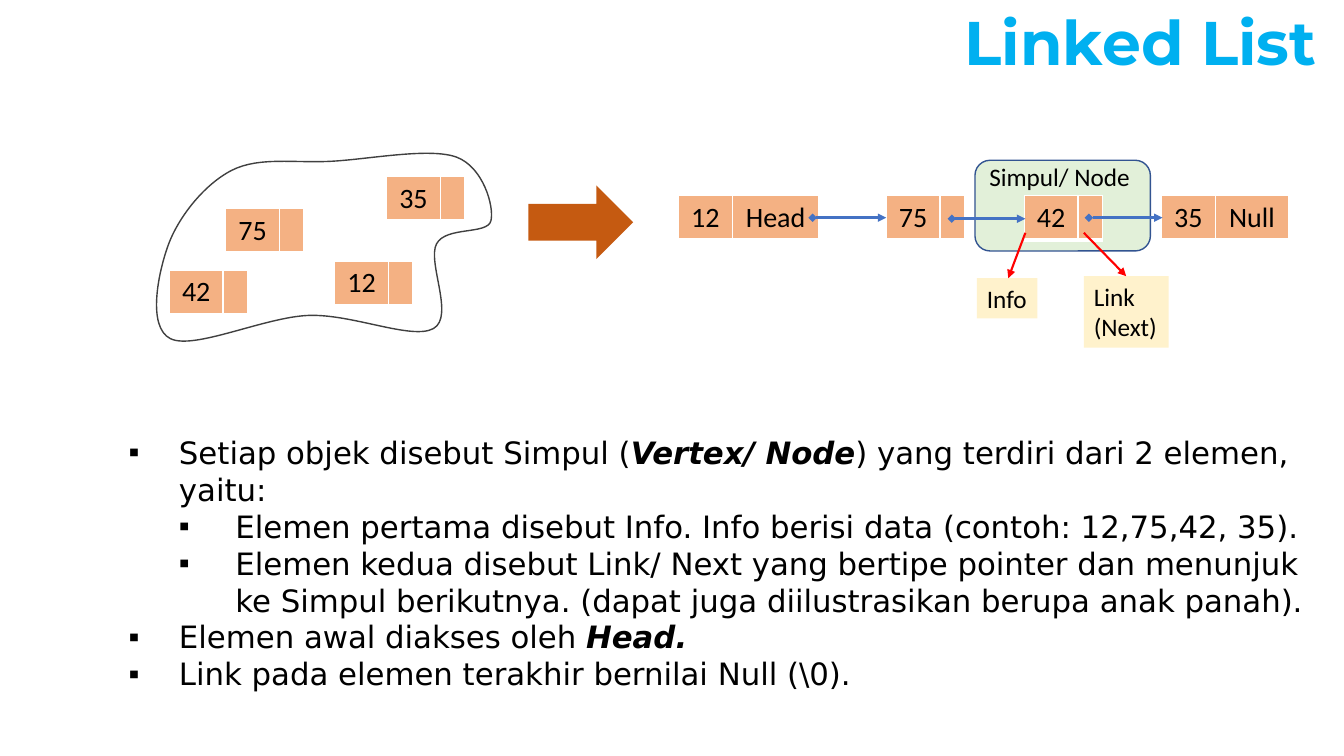
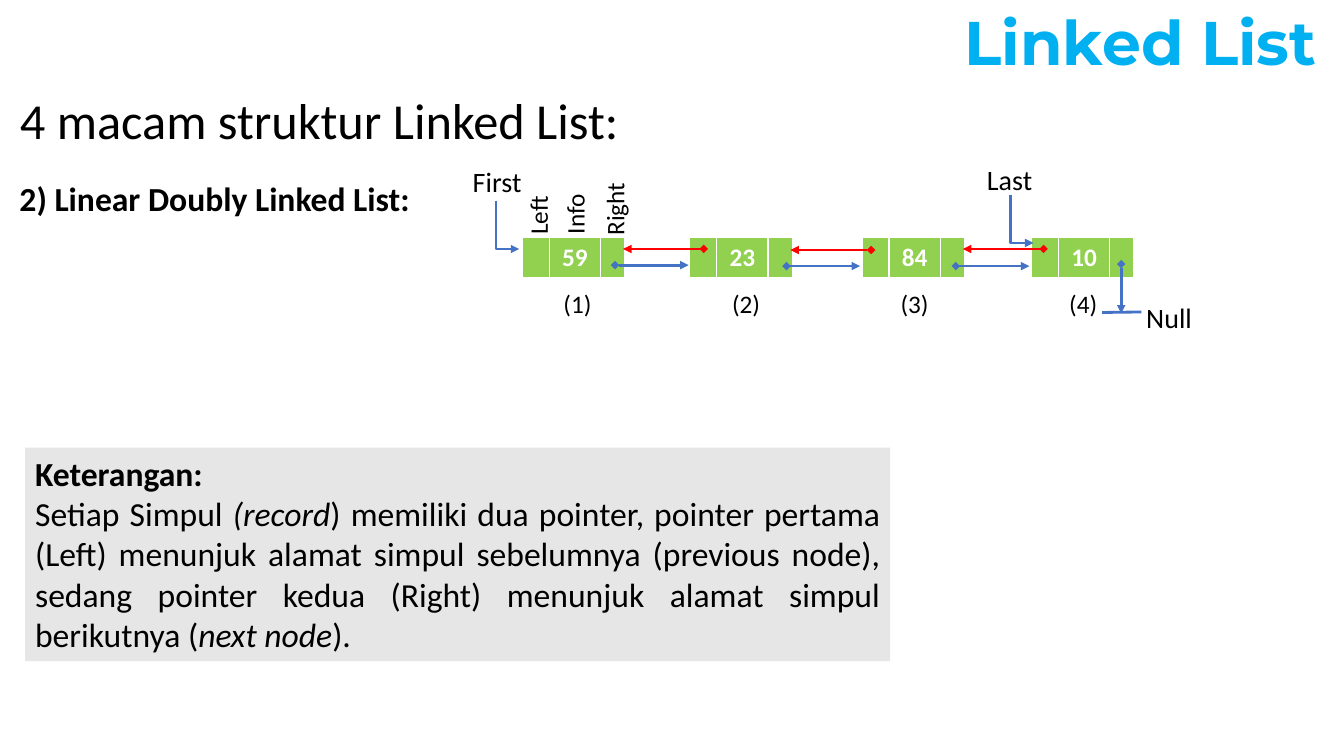
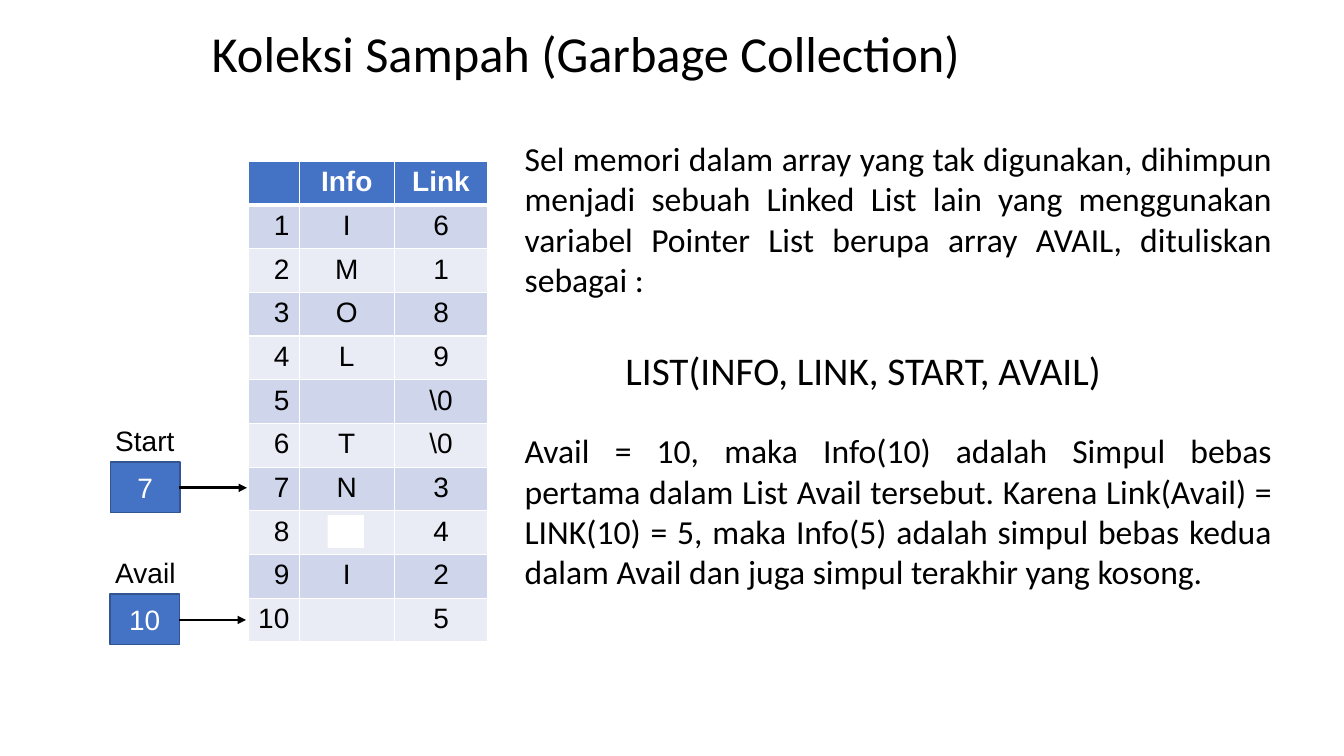
from lxml import etree
from pptx import Presentation
from pptx.dml.color import RGBColor
from pptx.enum.shapes import MSO_CONNECTOR, MSO_SHAPE
from pptx.enum.text import MSO_ANCHOR, MSO_AUTO_SIZE, PP_ALIGN
from pptx.oxml.ns import qn
from pptx.util import Inches, Pt

LEFT, CENTER, RIGHT, JUSTIFY = PP_ALIGN.LEFT, PP_ALIGN.CENTER, PP_ALIGN.RIGHT, PP_ALIGN.JUSTIFY
TOP, MIDDLE = MSO_ANCHOR.TOP, MSO_ANCHOR.MIDDLE
NO_AUTOFIT = MSO_AUTO_SIZE.NONE
RECTANGLE, ROUNDED = MSO_SHAPE.RECTANGLE, MSO_SHAPE.ROUNDED_RECTANGLE
RIGHT_ARROW = MSO_SHAPE.RIGHT_ARROW
STRAIGHT, ELBOW = MSO_CONNECTOR.STRAIGHT, MSO_CONNECTOR.ELBOW

BLACK = RGBColor(0x00, 0x00, 0x00)
WHITE = RGBColor(0xFF, 0xFF, 0xFF)
SKY = RGBColor(0x00, 0xB0, 0xF0)
BLUE = RGBColor(0x44, 0x72, 0xC4)
NAVY = RGBColor(0x32, 0x54, 0x91)
RED = RGBColor(0xFF, 0x00, 0x00)
RUST = RGBColor(0xC5, 0x5A, 0x11)
PEACH = RGBColor(0xF4, 0xB1, 0x83)
CREAM = RGBColor(0xFF, 0xF2, 0xCC)
MINT = RGBColor(0xE2, 0xF0, 0xD9)
GREEN = RGBColor(0x92, 0xD0, 0x50)
GRAY = RGBColor(0xE7, 0xE6, 0xE6)
CHARCOAL = RGBColor(0x40, 0x40, 0x40)
BAND_DARK = RGBColor(0xCF, 0xD5, 0xEA)
BAND_LIGHT = RGBColor(0xE9, 0xEB, 0xF5)

deck = Presentation()
deck.slide_width = Inches(13.33)
deck.slide_height = Inches(7.5)
GRID = deck.slide_height // 75


def write(frame, text, size, font="Calibri", color=BLACK, align=LEFT, bold=False, accent_bold=False):
    frame.text = text
    for para in frame.paragraphs:
        pieces = para.text.split("*")
        para.text = pieces[0]
        for piece in pieces[1:]:
            para.add_run().text = piece
        para.alignment = align
        for index, span in enumerate(para.runs):
            accent = index % 2 == 1
            span.font.name = font
            span.font.size = Pt(size)
            span.font.color.rgb = color
            span.font.bold = bold or (accent and accent_bold)
            span.font.italic = accent


def place(page, text, area, size, fill=None, rotation=0, wrap=False, **style):
    box = page.shapes.add_textbox(*[round(cells * GRID) for cells in area])
    box.rotation = rotation
    if fill:
        box.fill.solid()
        box.fill.fore_color.rgb = fill
    box.text_frame.word_wrap = wrap
    write(box.text_frame, text, size, **style)
    return box


content_layout, title_layout = deck.slide_layouts[1], deck.slide_layouts[5]
node_page = deck.slides.add_slide(content_layout)
doubly_page = deck.slides.add_slide(title_layout)
garbage_page = deck.slides.add_slide(title_layout)

main_title = (0, -0.3, 131.6, 9.6)
main_style = dict(size=44, font="Montserrat", color=SKY, align=RIGHT, bold=True)
for page, text, area, anchor, style in [
    (node_page, "Linked List", main_title, MIDDLE, main_style),
    (doubly_page, "Linked List", main_title, MIDDLE, main_style),
    (garbage_page, "Koleksi Sampah (Garbage Collection)", (20, 1.7, 86, 7.1), TOP, dict(size=36)),
]:
    title = page.shapes.title
    title.left, title.top, title.width, title.height = [round(cells * GRID) for cells in area]
    title.text_frame.auto_size = NO_AUTOFIT
    title.text_frame.vertical_anchor = anchor
    write(title.text_frame, text, **style)
    title.text_frame.paragraphs[0].line_spacing = 0.9 if anchor == MIDDLE else 1

body = node_page.placeholders[1]
body.left, body.top, body.width, body.height = [round(cells * GRID) for cells in (11.75, 42.5, 121.5, 26.9)]
body.text_frame.auto_size = NO_AUTOFIT
write(
    body.text_frame,
    "Setiap objek disebut Simpul (*Vertex/ Node*) yang terdiri dari 2 elemen, yaitu:\n"
    "Elemen pertama disebut Info. Info berisi data (contoh: 12,75,42, 35).\n"
    "Elemen kedua disebut Link/ Next yang bertipe pointer dan menunjuk ke Simpul berikutnya. "
    "(dapat juga diilustrasikan berupa anak panah).\n"
    "Elemen awal diakses oleh *Head.\n"
    "Link pada elemen terakhir bernilai Null (\\0).",
    22, font="DejaVu Sans", accent_bold=True,
)
for para, level in zip(body.text_frame.paragraphs, [0, 1, 1, 0, 0]):
    margin, hanging = [(0.5, 0.5), (1.06, 0.56)][level]
    para.level = level
    properties = para._p.get_or_add_pPr()
    properties.set("marL", str(Inches(margin)))
    properties.set("indent", str(-Inches(hanging)))
    etree.SubElement(properties, qn("a:buChar")).set("char", "▪")
    para.space_before = Pt(0)
    para.line_spacing = 1

memory_rows = [
    ("", "Info", "Link"), ("1", "I", "6"), ("2", "M", "1"), ("3", "O", "8"),
    ("4", "L", "9"), ("5", "", "\\0"), ("6", "T", "\\0"), ("7", "N", "3"),
    ("8", "", "4"), ("9", "I", "2"), ("10", "", "5"),
]
header_cells = []
area = [round(cells * GRID) for cells in (24.6, 16, 23.8, 47.7)]
memory = garbage_page.shapes.add_table(len(memory_rows), 3, *area).table
for column, width in zip(memory.columns, (5.1, 9.4, 9.3)):
    column.width = round(width * GRID)
for row, values in enumerate(memory_rows):
    header = row == 0
    for column, value in enumerate(values):
        cell = memory.cell(row, column)
        cell.fill.solid()
        cell.fill.fore_color.rgb = BLUE if header else (BAND_LIGHT, BAND_DARK)[row % 2]
        write(cell.text_frame, value, 20, font="Arial", color=WHITE if header else BLACK,
              align=CENTER if column else RIGHT, bold=header)
        if header:
            header_cells.append(cell)

pointer_style = dict(size=20, font="Arial", color=WHITE, align=CENTER)
for page, kind, area, fill, outline, text, bottom_margin, style in [
    (node_page, ROUNDED, (96.7, 15.9, 17.4, 9), MINT, NAVY, "Simpul/ Node", 0.57, dict(size=18)),
    (node_page, RIGHT_ARROW, (52.4, 18.4, 10.4, 7.3), RUST, None, "", 0, {}),
    (garbage_page, RECTANGLE, (10.95, 45.85, 6.9, 5), BLUE, NAVY, "7", 0, pointer_style),
    (garbage_page, RECTANGLE, (10.9, 58.95, 6.9, 5), BLUE, NAVY, "10", 0, pointer_style),
    (garbage_page, RECTANGLE, (32.5, 51.1, 3.6, 3.3), WHITE, None, "", 0, {}),
]:
    shape = page.shapes.add_shape(kind, *[round(cells * GRID) for cells in area])
    shape.shadow.inherit = False
    shape.fill.solid()
    shape.fill.fore_color.rgb = fill
    if outline:
        shape.line.color.rgb = outline
        shape.line.width = Pt(1)
    else:
        shape.line.fill.background()
    if text:
        shape.text_frame.vertical_anchor = MIDDLE
        shape.text_frame.margin_top = 0
        shape.text_frame.margin_bottom = Inches(bottom_margin)
        write(shape.text_frame, text, **style)

anchors = [(33, 16), (23, 16.9), (16.7, 24.3), (16.9, 33.6), (30.6, 31.3),
           (43, 32.6), (43.3, 24.2), (48.7, 21.9), (45.3, 15.6)]
cloud_area = [round(cells * GRID) for cells in (15.5, 15.3, 33.3, 18.6)]
builder = node_page.shapes.build_freeform(*[round(cells * GRID) for cells in anchors[0]])
builder.add_line_segments([(round(x * GRID), round(y * GRID)) for x, y in anchors[1:]], close=True)
cloud = builder.convert_to_shape()
cloud.left, cloud.top, cloud.width, cloud.height = cloud_area
cloud.shadow.inherit = False
cloud.fill.background()
cloud.line.color.rgb = CHARCOAL
cloud.line.width = Pt(1)

curves = [("a:moveTo", anchors[:1])]
for index in range(len(anchors)):
    before, start, end, after = [anchors[(index + offset) % len(anchors)] for offset in (-1, 0, 1, 2)]
    leaving = [s + (e - b) / 6 for b, s, e in zip(before, start, end)]
    arriving = [e - (a - s) / 6 for s, e, a in zip(start, end, after)]
    curves.append(("a:cubicBezTo", [leaving, arriving, end]))
outline = cloud.element.find(".//" + qn("a:path"))
for segment in list(outline):
    outline.remove(segment)
outline.set("w", str(cloud.width))
outline.set("h", str(cloud.height))
for tag, points in curves + [("a:close", [])]:
    segment = etree.SubElement(outline, qn(tag))
    for x, y in points:
        point = etree.SubElement(segment, qn("a:pt"))
        point.set("x", str(round(x * GRID) - cloud.left))
        point.set("y", str(round(y * GRID) - cloud.top))

single_style = dict(size=20, align=CENTER)
doubly_style = dict(size=18, color=WHITE, align=CENTER, bold=True)
nodes = [
    (node_page, left, top, (5.33, link_width), (info, link), PEACH, single_style)
    for left, top, info, link, link_width in [
        (22.4, 20.7, "75", "", 2.3), (38.35, 17.5, "35", "", 2.3),
        (16.8, 26.8, "42", "", 2.3), (33.2, 25.9, "12", "", 2.3),
        (67.3, 19.4, "12", "Head", 8.6), (87.9, 19.4, "75", "", 2.3),
        (101.6, 19.4, "42", "", 2.3), (115.2, 19.4, "35", "Null", 7.3),
    ]
] + [
    (doubly_page, left, 23.6, (2.67, 5.1, 2.3), ("", info, ""), GREEN, doubly_style)
    for left, info in [(51.8, "59"), (68.4, "23"), (85.5, "84"), (102.3, "10")]
]
for page, left, top, widths, values, fill, style in nodes:
    area = [round(cells * GRID) for cells in (left, top, sum(widths), 4.1)]
    node = page.shapes.add_table(1, len(widths), *area).table
    for column, (width, value) in enumerate(zip(widths, values)):
        node.columns[column].width = round(width * GRID)
        cell = node.cell(0, column)
        cell.fill.solid()
        cell.fill.fore_color.rgb = fill
        write(cell.text_frame, value, **style)
        header_cells.append(cell)

for cell in header_cells:
    properties = cell._tc.get_or_add_tcPr()
    for position, (tag, width) in enumerate([("a:lnL", 1), ("a:lnR", 1), ("a:lnT", 1), ("a:lnB", 3)]):
        border = etree.Element(qn(tag))
        border.set("w", str(Pt(width)))
        etree.SubElement(etree.SubElement(border, qn("a:solidFill")), qn("a:srgbClr")).set("val", str(WHITE))
        properties.insert(position, border)

place(node_page, "Info", (96.9, 27.6, 6, 4), 18, fill=CREAM)
place(node_page, "Link\n(Next)", (107.5, 27.4, 8.4, 7.1), 18, fill=CREAM)

place(doubly_page, "4 macam struktur Linked List:", (1, 8.35, 85.4, 7.1), 36, wrap=True)
place(doubly_page, "2) Linear Doubly Linked List:", (0.95, 17.15, 53.9, 5), 24, wrap=True, bold=True)
for text, left, top in [("First", 45.9, 15.85), ("Last", 96.9, 15.65), ("Null", 112.7, 29.3)]:
    place(doubly_page, text, (left, top, 6.8, 4.4), 20)
for text, left, top, width in [("Left", 50.4, 19.3, 5.9), ("Info", 54, 19.2, 6), ("Right", 57.3, 18.7, 7.3)]:
    place(doubly_page, text, (left, top, width, 4), 18, rotation=270)
for index in range(4):
    place(doubly_page, f"({index + 1})", (54.9 + 16.72 * index, 28.15, 4.8, 4), 18)
note = place(
    doubly_page,
    "Keterangan:\n"
    "Setiap Simpul *(record*) memiliki dua pointer, pointer pertama (Left) menunjuk alamat simpul "
    "sebelumnya (previous node), sedang pointer kedua (Right) menunjuk alamat simpul berikutnya "
    "(*next node*).",
    (2.5, 44.4, 85.8, 21.2), 24, fill=GRAY, wrap=True, align=JUSTIFY,
)
note.text_frame.paragraphs[0].runs[0].font.bold = True

for text, top in [("Start", 41.5), ("Avail", 54.6)]:
    place(garbage_page, text, (10.45, top, 8, 4.4), 20, font="Arial")
collection = place(
    garbage_page,
    "Sel memori dalam array yang tak digunakan, dihimpun menjadi sebuah Linked List lain yang "
    "menggunakan variabel Pointer List berupa array AVAIL, dituliskan sebagai :\n"
    "LIST(INFO, LINK, START, AVAIL)",
    (51.05, 13.2, 76.1, 26.6), 24, wrap=True, align=JUSTIFY,
)
formula = collection.text_frame.paragraphs[1]
formula._p.get_or_add_pPr().set("marL", str(Inches(1)))
formula.space_before = Pt(33.5)
formula.runs[0].font.size = Pt(28)
place(
    garbage_page,
    "Avail = 10, maka Info(10) adalah Simpul bebas pertama dalam List Avail tersebut. "
    "Karena Link(Avail) = LINK(10) = 5, maka Info(5) adalah simpul bebas kedua dalam Avail "
    "dan juga simpul terakhir yang kosong.",
    (51.05, 42.2, 76.1, 21.2), 24, wrap=True, align=JUSTIFY,
)

links = [
    (page, STRAIGHT, x, y, x + reach, y, color, 2, "diamond", "triangle")
    for page, reach, color, starts in [
        (node_page, 7.3, BLUE, [(80.6, 21.6), (94.4, 21.7), (108, 21.6)]),
        (doubly_page, 7.3, BLUE, [(61, 26.3), (78, 26.4), (94.8, 26.4)]),
        (doubly_page, -8, RED, [(69.8, 24.7), (86.4, 24.8), (103.5, 24.7)]),
    ]
    for x, y in starts
] + [
    (node_page, STRAIGHT, 101.7, 23.1, 100, 27.6, RED, 1.5, None, "triangle"),
    (node_page, STRAIGHT, 107.5, 23.1, 111.7, 27.4, RED, 1.5, None, "triangle"),
    (doubly_page, ELBOW, 49.2, 19.9, 51.5, 24.7, BLUE, 2, None, "triangle"),
    (doubly_page, ELBOW, 100.2, 19.3, 102.5, 24.1, BLUE, 2, None, "triangle"),
    (doubly_page, STRAIGHT, 111.2, 26.2, 111.2, 31.1, BLUE, 2, "diamond", "triangle"),
    (doubly_page, STRAIGHT, 109.3, 31, 113.2, 30.95, BLUE, 2, None, None),
    (garbage_page, STRAIGHT, 17.8, 48.4, 24.5, 48.4, BLACK, 2, None, "triangle"),
    (garbage_page, STRAIGHT, 17.8, 61.5, 24.4, 61.5, BLACK, 2, None, "triangle"),
]
for page, kind, x1, y1, x2, y2, color, width, head, tail in links:
    ends = (x1, y1, x2, y2)
    if kind == ELBOW:
        middle_x, middle_y = (x1 + x2) / 2, (y1 + y2) / 2
        half_drop, half_run = (y2 - y1) / 2, (x2 - x1) / 2
        ends = (middle_x + half_drop, middle_y - half_run, middle_x - half_drop, middle_y + half_run)
    link = page.shapes.add_connector(kind, *[round(cells * GRID) for cells in ends])
    link.line.color.rgb = color
    link.line.width = Pt(width)
    properties = link.element.spPr
    if kind == ELBOW:
        properties.find(qn("a:xfrm")).set("rot", str(270 * 60000))
        properties.find(qn("a:prstGeom")).set("prst", "bentConnector2")
    for tag, ending in (("a:headEnd", head), ("a:tailEnd", tail)):
        if ending:
            etree.SubElement(properties.find(qn("a:ln")), qn(tag)).set("type", ending)
    etree.SubElement(properties, qn("a:effectLst"))

deck.save("out.pptx")
